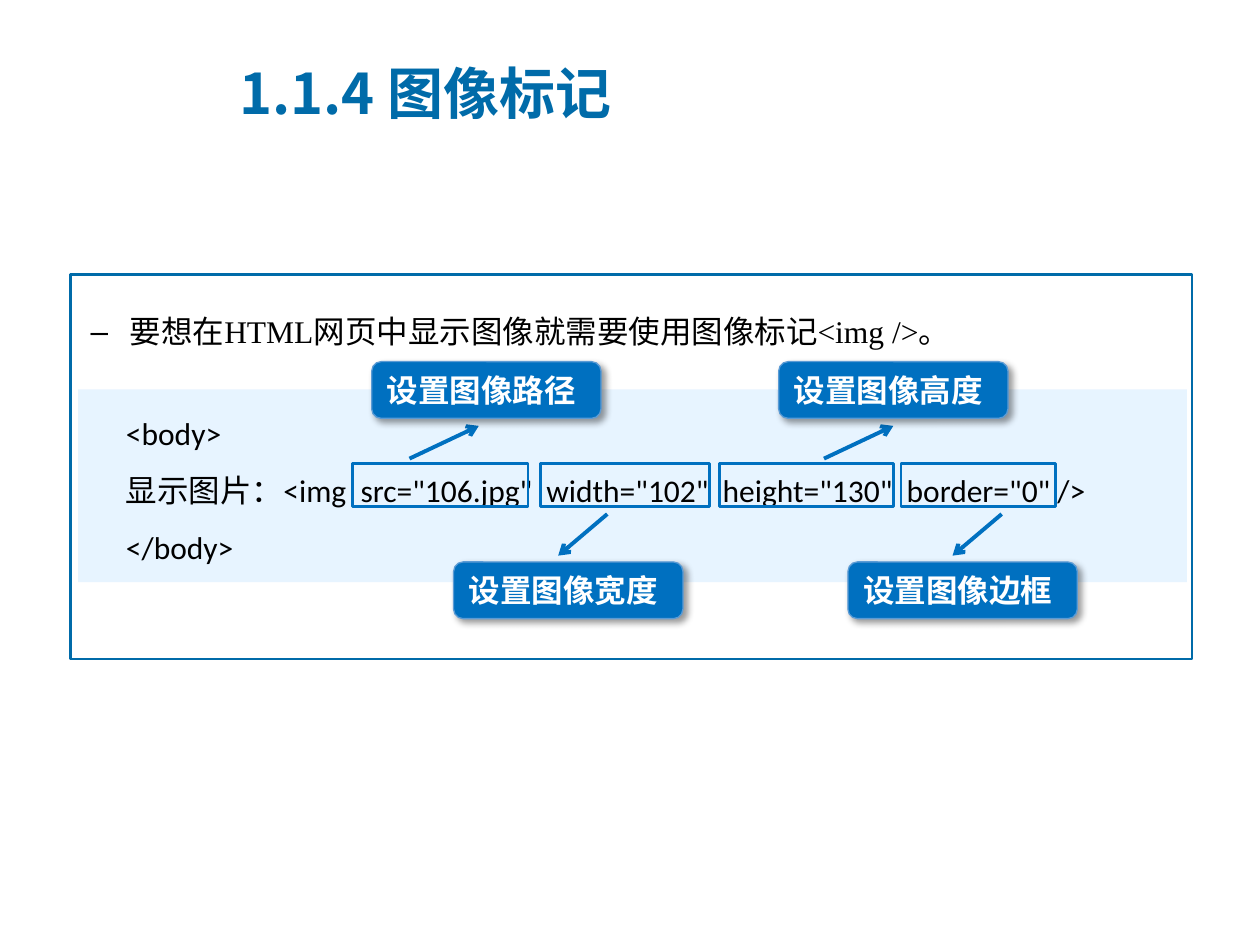
from lxml import etree
from pptx import Presentation
from pptx.dml.color import RGBColor
from pptx.enum import shapes, text
from pptx.oxml import ns
from pptx.util import Inches, Pt

COLORS = {"title": "006BA9", "accent": "0070C0", "edge": "5B9BD5", "code": "E7F4FF",
          "white": "FFFFFF", "black": "000000"}
CJK = "Noto Sans CJK SC"
CODE = ["<body>",
        '显示图片：<img  src="106.jpg"  width="102"  height="130"  border="0" />',
        "</body>"]
CALLOUTS = [
    ("设置图像路径", (2.8, 1.39), 2.95, (3.25, 3.8), True),
    ("设置图像宽度", (4.29, 1.34), 3.6, (4.82, 4.43), False),
    ("设置图像高度", (5.71, 1.38), 6.18, (6.54, 7.09), True),
    ("设置图像边框", (7.15, 1.23), 6.73, (7.95, 7.56), False),
]


def color(name):
    """Return a named colour."""
    return RGBColor.from_string(COLORS[name])


def add_xml(parent, tag, **attributes):
    """Append a DrawingML child and return it."""
    return etree.SubElement(parent, ns.qn(tag), attributes)


def style(para, font, size, ink, bold=False):
    """Format a left-aligned paragraph with Latin and East Asian fonts."""
    para.alignment = text.PP_ALIGN.LEFT
    para.font.name, para.font.size, para.font.bold = font, Pt(size), bold
    para.font.color.rgb = color(ink)
    add_xml(para._p.pPr.find(ns.qn("a:defRPr")), "a:ea", typeface=CJK)


def add_block(page, box, fill=None, line=None, width=1.5, kind="RECTANGLE"):
    """Add a flat shape in the given box."""
    block = page.shapes.add_shape(getattr(shapes.MSO_SHAPE, kind), *map(Inches, box))
    block.shadow.inherit = False
    if fill:
        block.fill.solid()
        block.fill.fore_color.rgb = color(fill)
    else:
        block.fill.background()
    if line:
        block.line.color.rgb = color(line)
        block.line.width = Pt(width)
    else:
        block.line.fill.background()
    return block


def place(holder, box):
    """Move a placeholder to the given box."""
    holder.left, holder.top, holder.width, holder.height = map(Inches, box)
    holder.text_frame.auto_size = text.MSO_AUTO_SIZE.NONE
    holder.text_frame.word_wrap = True


def fill_title(page, box):
    """Write the slide title."""
    title = page.shapes.title
    place(title, box)
    title.text_frame.vertical_anchor = text.MSO_ANCHOR.MIDDLE
    title.text_frame.text = "1.1.4 图像标记"
    style(title.text_frame.paragraphs[0], CJK, 32, "title", True)


def add_panel(page, box):
    """Add the outlined panel behind the content."""
    panel = add_block(page, box, "white", "title")
    alpha = panel.fill._xPr.find(ns.qn("a:solidFill"))[0]
    add_xml(alpha, "a:alpha", val="90000")
    page.shapes._spTree.insert(2, panel._element)


def fill_statement(page, box):
    """Write the dashed statement in the body placeholder."""
    body = page.placeholders[1]
    place(body, box)
    body.text_frame.text = "要想在HTML网页中显示图像就需要使用图像标记<img />。"
    para = body.text_frame.paragraphs[0]
    para.line_spacing, para.space_before = 1.5, Pt(0)
    style(para, "Times New Roman", 18, "black")
    properties = para._p.pPr
    properties.set("marL", str(Inches(0.31)))
    properties.set("indent", str(Inches(-0.31)))
    bullet = add_xml(properties, "a:buChar", char="–")
    properties.find(ns.qn("a:defRPr")).addprevious(bullet)


def add_code(page, box):
    """Add the shaded code sample."""
    frame = add_block(page, box, "code").text_frame
    frame.word_wrap = True
    frame.vertical_anchor = text.MSO_ANCHOR.TOP
    frame.margin_left, frame.margin_right = Inches(0.38), Inches(0.1)
    frame.text = "\n".join(CODE)
    for para in frame.paragraphs:
        para.line_spacing = 1.5
        style(para, "Calibri", 18, "black")


def add_arrow(page, start, end):
    """Add an arrow between two points."""
    arrow = page.shapes.add_connector(
        shapes.MSO_CONNECTOR.STRAIGHT, *map(Inches, (*start, *end)))
    arrow.line.color.rgb = color("accent")
    arrow.line.width = Pt(2.25)
    add_xml(arrow.line._get_or_add_ln(), "a:tailEnd", type="arrow")
    add_xml(arrow._element.spPr, "a:effectLst")


def add_label(page, box, words):
    """Add a rounded label with a soft shadow."""
    label = add_block(page, box, "accent", "edge", 0.75, "ROUNDED_RECTANGLE")
    effects = label._element.spPr.find(ns.qn("a:effectLst"))
    shadow = add_xml(effects, "a:outerShdw", blurRad=str(Pt(4)), dist=str(Pt(3)),
                     dir="2700000", algn="tl", rotWithShape="0")
    shade = add_xml(shadow, "a:srgbClr", val=COLORS["black"])
    add_xml(shade, "a:alpha", val="40000")
    frame = label.text_frame
    frame.word_wrap = True
    frame.vertical_anchor = text.MSO_ANCHOR.MIDDLE
    frame.text = words
    style(frame.paragraphs[0], "Calibri", 18, "white", True)


def add_callouts(page, box):
    """Frame each attribute in the code box and point to its label."""
    top = box[1]
    for words, (left, width), label_left, (start, end), above in CALLOUTS:
        add_block(page, (left, top + 0.59, width, 0.34), line="accent")
        start_y, end_y, label_y = (0.55, 0.29, -0.22) if above else (0.99, 1.32, 1.37)
        add_arrow(page, (start, top + start_y), (end, top + end_y))
        add_label(page, (label_left, top + label_y, 1.82, 0.45), words)


def main():
    """Build and save the slide."""
    deck = Presentation()
    deck.slide_width, deck.slide_height = Inches(10), Inches(7.5)
    page = deck.slides.add_slide(deck.slide_layouts[1])
    code_box = (0.62, 3.09, 8.8, 1.53)
    add_panel(page, (0.56, 2.18, 8.9, 3.05))
    fill_title(page, (1.8, 0.43, 7.3, 0.61))
    fill_statement(page, (0.62, 2.28, 8.79, 0.56))
    add_code(page, code_box)
    add_callouts(page, code_box)
    deck.save("out.pptx")


if __name__ == "__main__":
    main()
